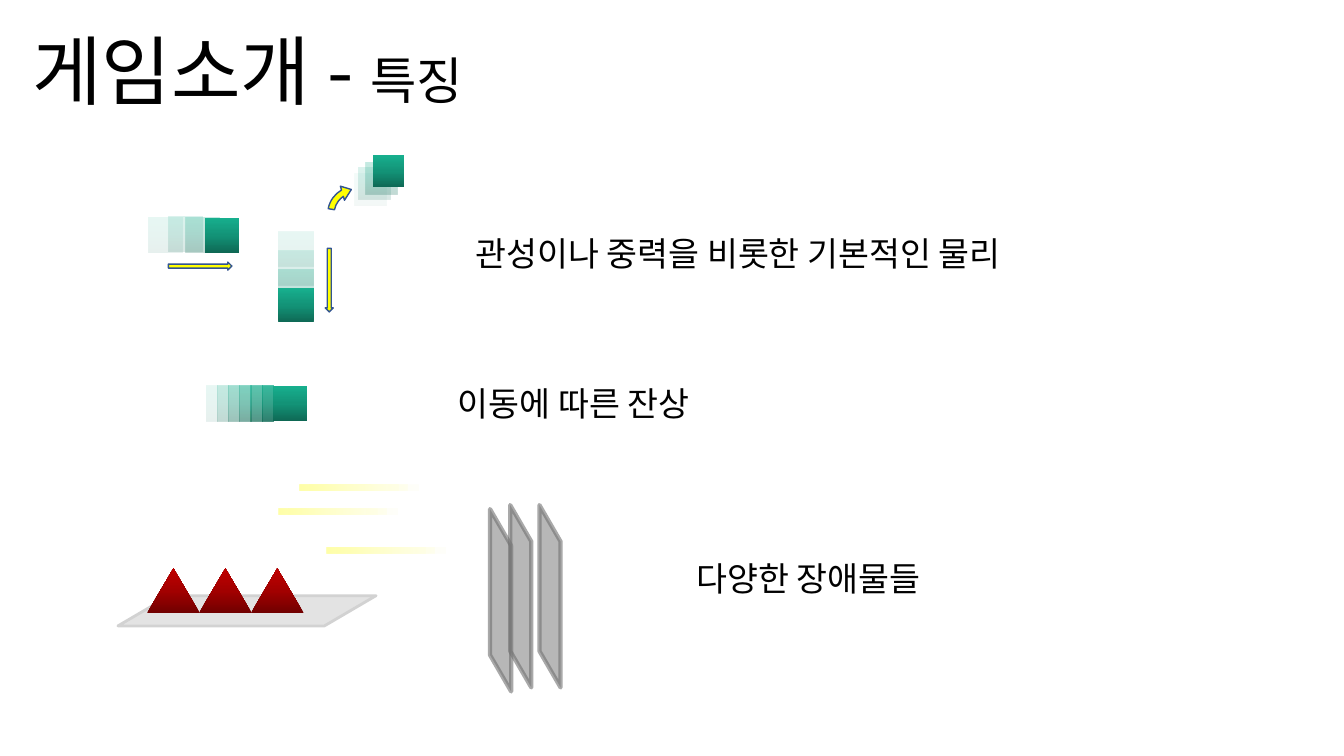
import pptx
import pptx.util
import pptx.dml.color
import pptx.enum.shapes
import pptx.enum.text
from lxml import etree

Inches = pptx.util.Inches
Pt = pptx.util.Pt
RGB = pptx.dml.color.RGBColor.from_string
MSO = pptx.enum.shapes.MSO_SHAPE
ALIGN = pptx.enum.text.PP_ALIGN
NS = "http://schemas.openxmlformats.org/drawingml/2006/main"

THEME = {
    "font": "Noto Sans CJK KR",
    "text": "000000",
    "title": 54,
    "subtitle": 36,
    "body": 24,
    "green": ("0E6854", "139377", "17AF8E"),
    "red": ("720000", "A20000", "C00000"),
    "yellow": ("FFFFA0", "FFFFC5", "FFFFE3"),
    "arrow": "FFFF00",
    "arrow_line": "325491",
    "floor": ("E3E3E3", "D2D2D2"),
    "wall": ("888888", "707070"),
}


def add_shape(shapes, kind, box, fill=None, line=None, width=1):
    sp = shapes.add_shape(kind, *[Inches(v) for v in box])
    sp.shadow.inherit = False
    if fill:
        sp.fill.solid()
        sp.fill.fore_color.rgb = RGB(fill)
    if line:
        sp.line.color.rgb = RGB(line)
        sp.line.width = Pt(width)
    else:
        sp.line.fill.background()
    return sp


def add_gradient(shapes, kind, box, colors, angle=270, alpha=100):
    sp = add_shape(shapes, kind, box)
    stops = "".join(
        f'<a:gs pos="{i * 50000}"><a:srgbClr val="{c}">'
        f'<a:alpha val="{alpha * 1000}"/></a:srgbClr></a:gs>'
        for i, c in enumerate(colors)
    )
    grad = etree.fromstring(
        f'<a:gradFill xmlns:a="{NS}" rotWithShape="1"><a:gsLst>{stops}</a:gsLst>'
        f'<a:lin ang="{angle * 60000}" scaled="0"/></a:gradFill>'
    )
    sp._element.spPr.find(f"{{{NS}}}prstGeom").addnext(grad)


prs = pptx.Presentation()
prs.slide_width = Inches(13.33)
prs.slide_height = Inches(7.5)
s = prs.slides.add_slide(prs.slide_layouts[6])

fill, edge = THEME["floor"]
add_shape(s.shapes, MSO.FLOWCHART_DATA, (1.17, 5.91, 2.56, 0.3), fill, edge, 2)

motions = [
    (0.34, 0.35, [(1.47, 2.16, 10), (1.67, 2.15, 15), (1.84, 2.16, 25), (2.03, 2.16, 100)]),
    (0.31, 0.32, [(3.52, 1.72, 5), (3.56, 1.66, 15), (3.63, 1.61, 25), (3.7, 1.54, 100)]),
    (0.35, 0.34, [(2.76, 2.3, 10), (2.76, 2.49, 15), (2.76, 2.67, 25), (2.76, 2.86, 100)]),
]
for w, h, squares in motions:
    group = s.shapes.add_group_shape()
    for x, y, alpha in squares:
        add_gradient(group.shapes, MSO.RECTANGLE, (x, y, w, h), THEME["green"], alpha=alpha)

arrows = [
    (MSO.CIRCULAR_ARROW, (3.21, 1.8, 0.69, 0.64), 4.8),
    (MSO.RIGHT_ARROW, (1.67, 2.6, 0.63, 0.08), 0),
    (MSO.RIGHT_ARROW, (2.95, 2.74, 0.63, 0.08), 90),
]
for kind, box, rotation in arrows:
    sp = add_shape(s.shapes, kind, box, THEME["arrow"], THEME["arrow_line"])
    sp.rotation = rotation
    if kind == MSO.CIRCULAR_ARROW:
        for i, value in enumerate((0.098, 13.039, 136.327, 110.776, 0.114)):
            sp.adjustments[i] = value

afterimage = s.shapes.add_group_shape()
add_gradient(afterimage.shapes, MSO.RECTANGLE, (2.71, 3.83, 0.34, 0.35), THEME["green"])
for i in range(6):
    box = (2.6 - 0.11 * i, 3.83, 0.11, 0.35)
    add_gradient(afterimage.shapes, MSO.RECTANGLE, box, THEME["green"], alpha=85 - 15 * i)

for i in range(3):
    add_gradient(s.shapes, MSO.ISOSCELES_TRIANGLE, (1.46 + 0.515 * i, 5.64, 0.52, 0.44), THEME["red"])

for x, y in [(2.76, 5.05), (3.24, 5.43), (2.97, 4.81)]:
    streak = s.shapes.add_group_shape()
    for dx, w, alpha in [(0.1, 0.97, 40), (0.21, 0.97, 20), (0.01, 0.97, 60), (0, 0.87, 80)]:
        add_gradient(streak.shapes, MSO.RECTANGLE, (x + dx, y, w, 0.06), THEME["yellow"], 0, alpha)

fill, edge = THEME["wall"]
for x, y in [(4.06, 5.85), (4.26, 5.81), (4.55, 5.81)]:
    sp = add_shape(s.shapes, MSO.FLOWCHART_DATA, (x, y, 1.81, 0.21), fill, edge, 3)
    sp.rotation = 270
    for color in sp._element.spPr.iter(f"{{{NS}}}srgbClr"):
        etree.SubElement(color, f"{{{NS}}}alpha", val="60000")

texts = [
    ((0.22, 0.19, 4.55, 1.01), ALIGN.LEFT, [("게임소개 - ", "title"), ("특징", "subtitle")]),
    ((4.29, 2.26, 6.06, 0.5), ALIGN.CENTER, [("관성이나 중력을 비롯한 기본적인 물리", "body")]),
    ((4.29, 3.75, 2.8, 0.5), ALIGN.CENTER, [("이동에 따른 잔상", "body")]),
    ((6.68, 5.49, 2.68, 0.5), ALIGN.CENTER, [("다양한 장애물들", "body")]),
]
for box, align, runs in texts:
    tf = s.shapes.add_textbox(*[Inches(v) for v in box]).text_frame
    tf.word_wrap = False
    p = tf.paragraphs[0]
    p.alignment = align
    p.font.name = THEME["font"]
    p.font.color.rgb = RGB(THEME["text"])
    for text, size in runs:
        r = p.add_run()
        r.text = text
        r.font.size = Pt(THEME[size])
    ea = etree.SubElement(p.font._element, f"{{{NS}}}ea", typeface=THEME["font"])

prs.save("out.pptx")
